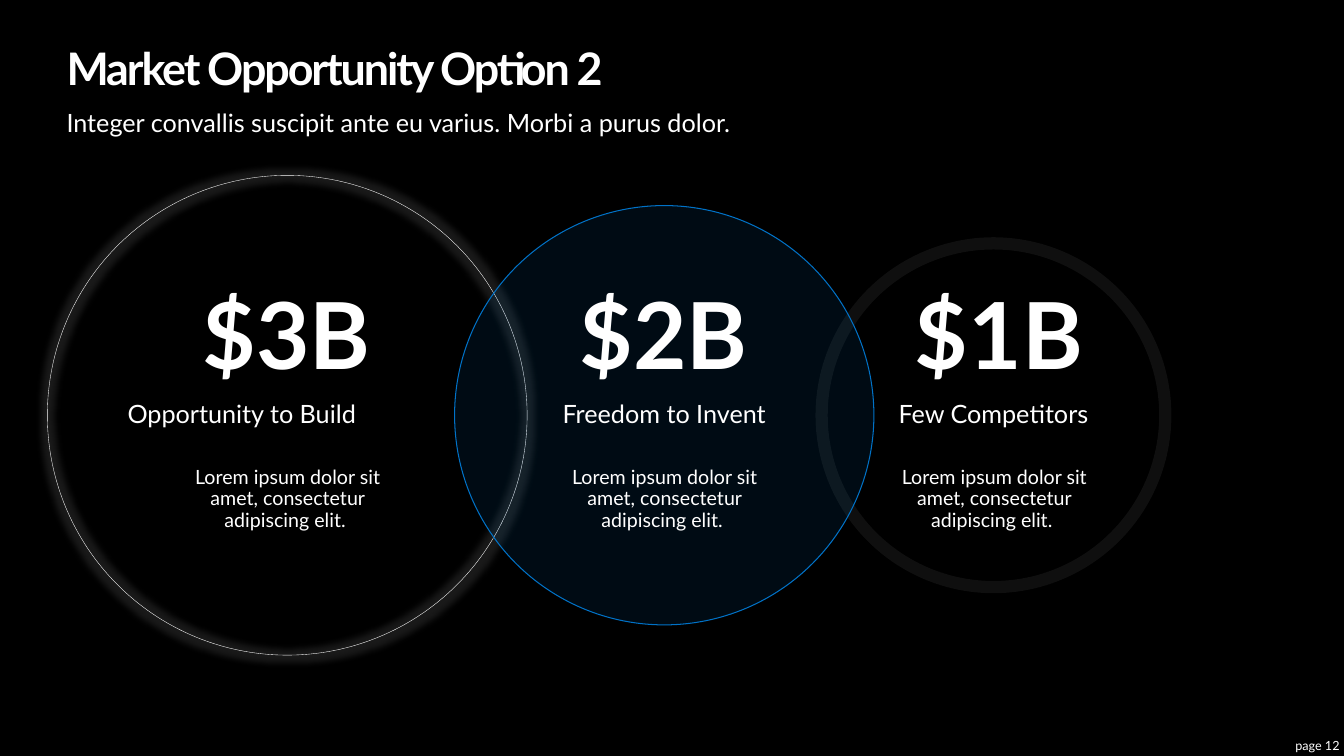
from dataclasses import dataclass

from lxml import etree
from pptx import Presentation
from pptx.dml.color import RGBColor
from pptx.enum import shapes, text
from pptx.oxml import ns
from pptx.util import Pt

WHITE = "FFFFFF"
BLUE = "0072C7"
LEFT, CENTER, RIGHT = text.PP_ALIGN.LEFT, text.PP_ALIGN.CENTER, text.PP_ALIGN.RIGHT
TOP, MIDDLE, BOTTOM = text.MSO_ANCHOR.TOP, text.MSO_ANCHOR.MIDDLE, text.MSO_ANCHOR.BOTTOM
CIRCLE_CENTER_Y = 296.6
BLURB = "Lorem ipsum dolor sit amet, consectetur adipiscing elit. "


@dataclass
class Market:
    amount: str
    label: str
    center: float
    diameter: float
    line_color: str
    line_width: float
    amount_center: float
    blurb_center: float
    align: text.PP_ALIGN = CENTER
    inset: float = 7.2
    fill_alpha: int = 0
    line_alpha: int = 100
    glow: float = 0


BUILD = Market("$3B", "Opportunity to Build", 205.2, 342.7, WHITE, 0.25,
               204.8, 205.5, align=LEFT, glow=10)
INVENT = Market("$2B", "Freedom to Invent", 474.5, 299.5, BLUE, 0.75,
                474.1, 474.8, inset=0, fill_alpha=10)
COMPETE = Market("$1B", "Few Competitors", 709.6, 245.5, WHITE, 8.75,
                 713.5, 710.3, line_alpha=6)


def rgb(color: str) -> RGBColor:
    return RGBColor.from_string(color)


def add_alpha(color_element, percent: int) -> None:
    alpha = etree.SubElement(color_element, ns.qn("a:alpha"))
    alpha.set("val", str(percent * 1000))


def add_glow(shape, radius: float, color: str, percent: int) -> None:
    effects = shape.element.spPr.find(ns.qn("a:effectLst"))
    glow = etree.SubElement(effects, ns.qn("a:glow"), rad=str(Pt(radius)))
    add_alpha(etree.SubElement(glow, ns.qn("a:srgbClr"), val=color), percent)


def write(shape, words: str, size: float, align=CENTER, anchor=TOP, bold: bool = False,
          inset: float = 0, spacing: float = 0.9, before: float = 0) -> None:
    frame = shape.text_frame
    frame.auto_size = text.MSO_AUTO_SIZE.NONE
    frame.word_wrap = True
    frame.vertical_anchor = anchor
    frame.margin_left = frame.margin_right = Pt(inset)
    frame.margin_top = frame.margin_bottom = Pt(inset / 2)
    frame.text = words
    paragraph = frame.paragraphs[0]
    paragraph.alignment = align
    paragraph.line_spacing = spacing
    paragraph.space_before = Pt(before)
    paragraph.font.name = "Lato"
    paragraph.font.size = Pt(size)
    paragraph.font.bold = bold
    paragraph.font.color.rgb = rgb(WHITE)


def add_text(slide, left: float, top: float, width: float, height: float,
             words: str, size: float, **style) -> None:
    box = slide.shapes.add_textbox(Pt(left), Pt(top), Pt(width), Pt(height))
    write(box, words, size, **style)


def add_circle(slide, market: Market) -> None:
    radius = market.diameter / 2
    circle = slide.shapes.add_shape(
        shapes.MSO_SHAPE.OVAL, Pt(market.center - radius), Pt(CIRCLE_CENTER_Y - radius),
        Pt(market.diameter), Pt(market.diameter))
    circle.shadow.inherit = False
    properties = circle.element.spPr
    if market.fill_alpha:
        circle.fill.solid()
        circle.fill.fore_color.rgb = rgb(market.line_color)
        add_alpha(properties.find(ns.qn("a:solidFill"))[0], market.fill_alpha)
    else:
        circle.fill.background()
    circle.line.color.rgb = rgb(market.line_color)
    circle.line.width = Pt(market.line_width)
    if market.line_alpha < 100:
        line = properties.find(ns.qn("a:ln"))
        add_alpha(line.find(ns.qn("a:solidFill"))[0], market.line_alpha)
    if market.glow:
        add_glow(circle, market.glow, WHITE, 10)
    write(circle, market.label, 18, align=market.align, anchor=MIDDLE,
          inset=market.inset, before=10)


def add_figures(slide, market: Market) -> None:
    add_text(slide, market.amount_center - 110, 164.9, 220, 113, market.amount, 66,
             anchor=BOTTOM, bold=True)
    add_text(slide, market.blurb_center - 78, 334.1, 156, 57, BLURB, 14, before=10)


def add_title(slide, words: str) -> None:
    title = slide.shapes.title
    title.left, title.top, title.width, title.height = Pt(47.5), Pt(33.8), Pt(785.5), Pt(33.8)
    write(title, words, 32, align=LEFT, anchor=MIDDLE, bold=True)
    run = title.text_frame.paragraphs[0].runs[0]
    run.font.bold = True
    run.font.element.set("spc", "-150") if hasattr(run.font, "element") else \
        title.element.find(".//" + ns.qn("a:r")).get_or_add_rPr().set("spc", "-150")


presentation = Presentation()
presentation.slide_width, presentation.slide_height = Pt(960), Pt(540)
slide = presentation.slides.add_slide(presentation.slide_layouts[5])
slide.background.fill.solid()
slide.background.fill.fore_color.rgb = rgb("000000")

add_title(slide, "Market Opportunity Option 2")
add_text(slide, 47.5, 79.2, 785.5, 20.2,
         "Integer convallis suscipit ante eu varius. Morbi a purus dolor. ", 18,
         align=LEFT, before=10)
for market in (COMPETE, BUILD, INVENT):
    add_circle(slide, market)
for market in (BUILD, INVENT, COMPETE):
    add_figures(slide, market)
add_text(slide, 913.7, 526.3, 43.2, 12.2, "page 12", 9, align=RIGHT, anchor=MIDDLE, spacing=1)

presentation.save("out.pptx")
